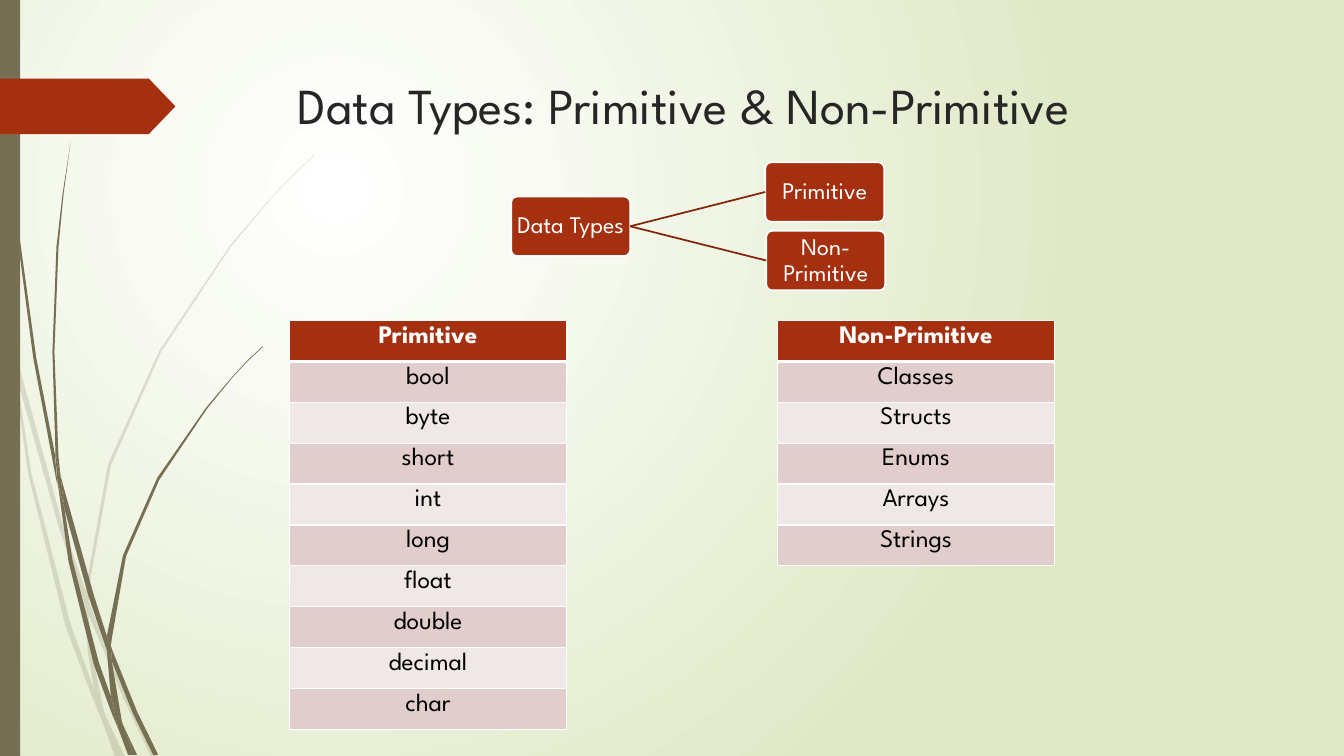
from lxml import etree
from pptx import Presentation
from pptx.dml.color import RGBColor
from pptx.enum.shapes import MSO_CONNECTOR, MSO_SHAPE
from pptx.enum.text import MSO_ANCHOR, PP_ALIGN
from pptx.oxml import parse_xml
from pptx.oxml.ns import nsdecls, qn
from pptx.util import Inches, Pt

RECT = MSO_SHAPE.RECTANGLE
ROUND = MSO_SHAPE.ROUNDED_RECTANGLE
BANNER = MSO_SHAPE.PENTAGON
STRAIGHT = MSO_CONNECTOR.STRAIGHT
CENTER = PP_ALIGN.CENTER
MIDDLE = MSO_ANCHOR.MIDDLE

RUST = RGBColor(0xA5, 0x30, 0x10)
DARK_RUST = RGBColor(0x84, 0x26, 0x0D)
OLIVE = RGBColor(0x76, 0x6F, 0x54)
INK = RGBColor(0x26, 0x26, 0x26)
BLACK = RGBColor(0, 0, 0)
WHITE = RGBColor(0xFF, 0xFF, 0xFF)
PINK = RGBColor(0xE1, 0xCD, 0xCC)
PALE = RGBColor(0xF0, 0xE8, 0xE7)
GLOW = [(0, WHITE), (26, RGBColor(0xF8, 0xFA, 0xF3)), (36, RGBColor(0xF5, 0xF8, 0xED)),
        (48, RGBColor(0xF0, 0xF5, 0xE5)), (100, RGBColor(0xDF, 0xE8, 0xC4))]
FONT = "League Spartan"

FAINT_BLADES = [
    [(0.11, 3.5), (0.09, 3.22), (0, 2.82), (0, 2.99), (0.1, 3.44)],
    [(0.58, 5.22), (0.84, 5.99), (0.85, 5.86), (0.62, 5.2), (0.14, 3.45), (0.17, 3.76)],
    [(0.92, 6.07), (0.88, 5.96), (0.88, 6.1), (1.23, 6.94), (1.5, 7.51), (1.55, 7.51),
     (1.27, 6.92)],
    [(1.19, 7.51), (1.24, 7.51), (1.05, 7.11)],
    [(0.93, 6.83), (0.7, 6.19), (0.31, 4.69), (0.17, 3.76), (0.11, 3.5), (0.28, 4.7),
     (0.65, 6.21), (0.92, 6.93), (1.01, 7.14), (0.99, 7.07)],
    [(0.84, 5.99), (0.87, 6.46), (0.93, 6.83), (0.96, 6.92), (1.05, 7.11), (1.03, 7.06),
     (0.91, 6.46), (0.88, 6.1), (0.88, 6.08)],
    [(0.88, 5.84), (1.1, 4.62), (1.6, 3.49), (2.29, 2.45), (2.68, 1.98), (2.9, 1.75),
     (3.12, 1.54), (3.12, 1.53), (2.89, 1.75), (2.68, 1.97), (2.28, 2.44), (1.58, 3.48),
     (1.07, 4.61), (0.85, 5.84), (0.85, 5.86), (0.88, 5.96)],
    [(1.01, 7.14), (1.14, 7.51), (1.19, 7.51)],
    [(0.88, 6.08), (0.88, 6.1), (0.88, 5.96), (0.85, 5.86), (0.84, 5.99)],
    [(0.96, 6.92), (0.93, 6.83), (0.99, 7.07), (1.01, 7.14), (1.19, 7.51), (1.05, 7.11)],
]
BOLD_BLADES = [
    [(0.07, 1.1), (0.17, 2.33), (0.33, 3.55), (0.56, 4.77), (0.57, 4.81), (0.55, 4.57),
     (0.55, 4.53), (0.36, 3.55), (0.19, 2.32), (0.08, 1.09), (0.05, 0.48), (0.04, 0),
     (0.03, 0), (0.04, 0.48)],
    [(0.88, 5.92), (1.06, 6.45), (1.06, 6.33), (1.06, 6.31), (0.93, 5.9), (0.6, 4.72),
     (0.64, 5.05)],
    [(1.13, 6.49), (1.1, 6.41), (1.11, 6.56), (1.32, 7.08), (1.52, 7.49), (1.57, 7.49),
     (1.36, 7.06)],
    [(1.1, 6.91), (0.98, 6.57), (0.72, 5.56), (0.64, 5.05), (0.57, 4.77), (0.68, 5.57),
     (0.93, 6.59), (1.11, 7.08), (1.17, 7.22), (1.16, 7.17)],
    [(0.6, 4.72), (0.58, 4.53), (0.54, 3.49), (0.58, 2.45), (0.63, 1.93), (0.7, 1.41),
     (0.62, 1.93), (0.56, 2.45), (0.52, 3.49), (0.55, 4.49)],
    [(1.33, 7.49), (1.36, 7.49), (1.22, 7.19)],
    [(0.57, 4.77), (0.64, 5.05), (0.6, 4.72), (0.55, 4.49), (0.55, 4.53)],
    [(1.11, 6.33), (1.25, 5.52), (1.58, 4.76), (2.05, 4.06), (2.31, 3.74), (2.45, 3.59),
     (2.61, 3.44), (2.6, 3.44), (2.45, 3.58), (2.31, 3.73), (2.04, 4.05), (1.56, 4.74),
     (1.22, 5.51), (1.06, 6.31), (1.1, 6.41)],
    [(1.17, 7.22), (1.27, 7.49), (1.31, 7.49)],
    [(1.06, 6.45), (1.1, 6.91), (1.16, 7.06), (1.22, 7.19), (1.21, 7.16), (1.11, 6.56),
     (1.09, 6.51)],
    [(1.06, 6.45), (1.09, 6.51), (1.11, 6.56), (1.1, 6.41), (1.06, 6.31)],
    [(1.16, 7.06), (1.1, 6.91), (1.16, 7.17), (1.17, 7.22), (1.3, 7.49), (1.33, 7.49),
     (1.22, 7.19)],
]


def paint_back(slide):
    slide.background.fill.solid()
    stops = "".join(f'<a:gs pos="{pos * 1000}"><a:srgbClr val="{color}"/></a:gs>'
                    for pos, color in GLOW)
    glow = parse_xml(
        f'<a:gradFill {nsdecls("a")}><a:gsLst>{stops}</a:gsLst><a:path path="circle">'
        '<a:fillToRect l="50000" t="50000" r="100000" b="100000"/></a:path></a:gradFill>')
    solid = next(slide.element.iter(qn("a:solidFill")))
    solid.getparent().replace(solid, glow)


def paint(shape, color):
    shape.shadow.inherit = False
    shape.fill.solid()
    shape.fill.fore_color.rgb = color
    shape.line.fill.background()


def add_blade(slide, points, alpha):
    start, *rest = [(Inches(x), Inches(y)) for x, y in points]
    form = slide.shapes.build_freeform(*start)
    form.add_line_segments(rest, close=True)
    blade = form.convert_to_shape()
    paint(blade, OLIVE)
    tint = next(blade.element.spPr.iter(qn("a:srgbClr")))
    etree.SubElement(tint, qn("a:alpha"), val=str(alpha * 1000))


def add_block(slide, kind, *place, color):
    block = slide.shapes.add_shape(kind, *map(Inches, place))
    paint(block, color)
    return block


def set_text(frame, text, size, color, bold=False):
    frame.text = text
    para = frame.paragraphs[0]
    para.alignment = CENTER
    font = para.runs[0].font
    font.name = FONT
    font.size = Pt(size)
    font.bold = bold
    font.color.rgb = color


def add_title(slide, text):
    box = slide.shapes.add_textbox(Inches(1.97), Inches(0.69), Inches(9.75), Inches(1.4))
    box.text_frame.word_wrap = True
    set_text(box.text_frame, text, 36, INK)


def add_node(slide, text, left, top):
    node = add_block(slide, ROUND, left, top, 1.18, 0.59, color=RUST)
    node.adjustments[0] = 0.1
    node.line.color.rgb = WHITE
    node.line.width = Pt(1.25)
    frame = node.text_frame
    frame.word_wrap = True
    frame.vertical_anchor = MIDDLE
    frame.margin_left = frame.margin_right = Inches(0.03)
    frame.margin_top = frame.margin_bottom = Inches(0.03)
    set_text(frame, text, 17, WHITE)
    frame.paragraphs[0].line_spacing = 0.9
    return node


def link(slide, start, end):
    line = slide.shapes.add_connector(STRAIGHT, 0, 0, 0, 0)
    line.begin_connect(start, 3)
    line.end_connect(end, 1)
    line.line.color.rgb = DARK_RUST
    line.line.width = Pt(1.25)
    etree.SubElement(line.element.spPr, qn("a:effectLst"))


def set_edges(cell, top, bottom):
    props = cell._tc.get_or_add_tcPr()
    for place, (side, width) in enumerate(zip("LRTB", (1, 1, top, bottom))):
        props.insert(place, parse_xml(
            f'<a:ln{side} {nsdecls("a")} w="{Pt(width)}"><a:solidFill>'
            f'<a:srgbClr val="{WHITE}"/></a:solidFill></a:ln{side}>'))


def add_list(slide, left, words):
    height = Inches(3.65) // 9
    table = slide.shapes.add_table(len(words), 1, Inches(left), Inches(3.18),
                                   Inches(2.75), height * len(words)).table
    table.horz_banding = False
    for row, word in enumerate(words):
        head = row == 0
        table.rows[row].height = height
        cell = table.cell(row, 0)
        set_text(cell.text_frame, word, 18, WHITE if head else BLACK, head)
        cell.fill.solid()
        cell.fill.fore_color.rgb = RUST if head else (PALE, PINK)[row % 2]
        set_edges(cell, 3 if row == 1 else 1, 3 if head else 1)


def main():
    deck = Presentation()
    deck.slide_width, deck.slide_height = Inches(13.33), Inches(7.5)
    slide = deck.slides.add_slide(deck.slide_layouts[6])
    paint_back(slide)
    for blades, alpha in [(FAINT_BLADES, 20), (BOLD_BLADES, 100)]:
        for points in blades:
            add_blade(slide, points, alpha)
    add_block(slide, RECT, 0, 0, 0.2, 7.5, color=OLIVE)
    banner = add_block(slide, BANNER, 0, 0.78, 1.74, 0.55, color=RUST)
    banner.adjustments[0] = 0.48
    add_title(slide, "Data Types: Primitive & Non-Primitive ")
    root = add_node(slide, "Data Types", 5.07, 1.95)
    for text, left, top in [("Primitive", 7.59, 1.61), ("Non-Primitive", 7.6, 2.29)]:
        link(slide, root, add_node(slide, text, left, top))
    add_list(slide, 2.87, ["Primitive", "bool", "byte", "short", "int", "long",
                           "float", "double", "decimal", "char"])
    add_list(slide, 7.71, ["Non-Primitive", "Classes", "Structs", "Enums",
                           "Arrays", "Strings"])
    deck.save("out.pptx")


if __name__ == "__main__":
    main()
